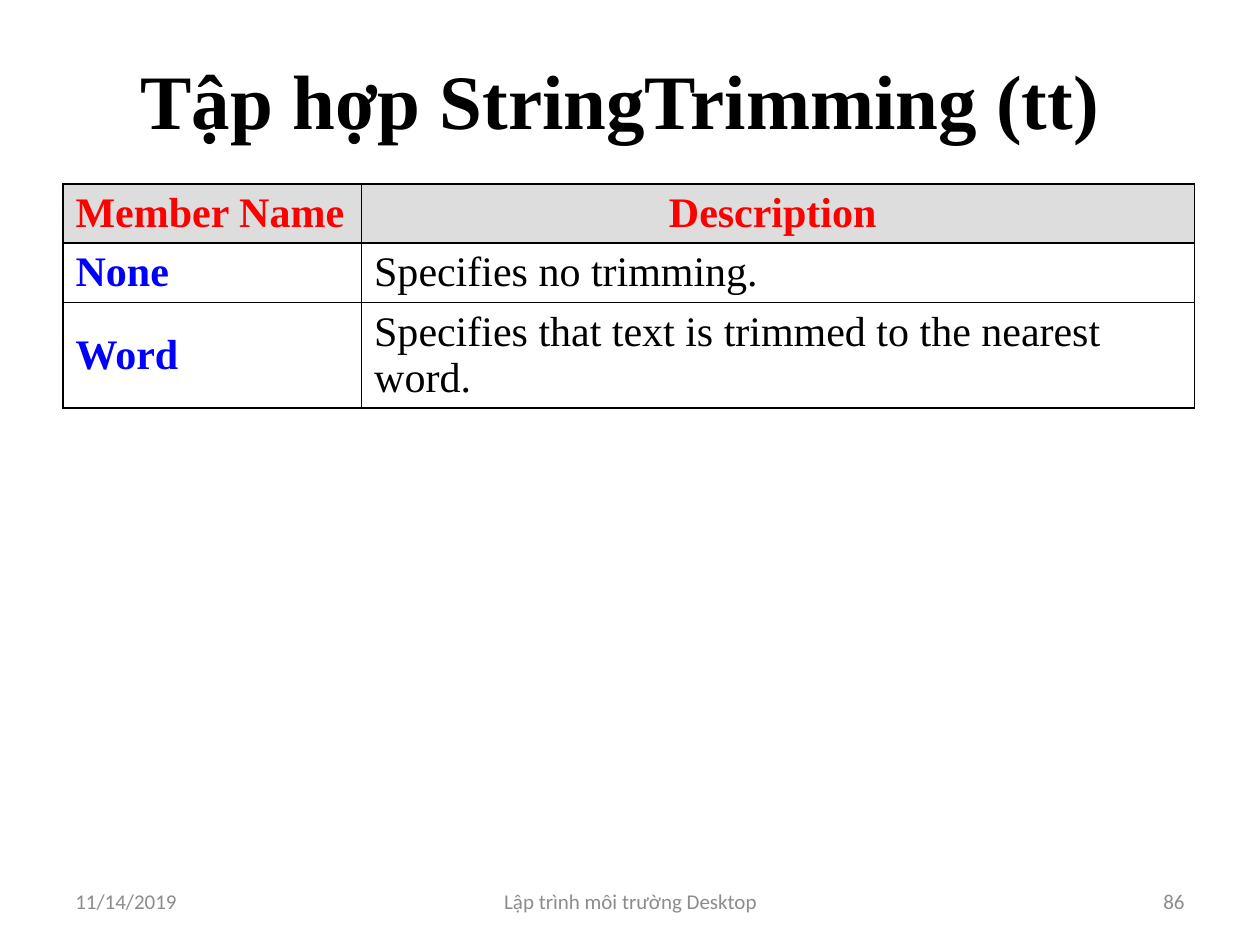
from dataclasses import dataclass

from lxml.etree import SubElement
from pptx import Presentation
from pptx.dml.color import RGBColor
from pptx.enum.text import MSO_ANCHOR as Anchor, MSO_AUTO_SIZE as AutoSize, PP_ALIGN as Align
from pptx.oxml.ns import qn
from pptx.util import Inches, Pt


@dataclass(frozen=True)
class Theme:
    ink: str = "000000"
    header: str = "FF0000"
    member: str = "0000FF"
    header_fill: str = "DDDDDD"
    muted: str = "8C8C8C"
    serif: str = "Times New Roman"
    sans: str = "Calibri"
    title_size: int = 44
    table_size: int = 24
    footer_size: int = 12
    border: float = 1


@dataclass(frozen=True)
class Member:
    name: str
    description: str
    height: float


@dataclass(frozen=True)
class FooterPart:
    text: str
    left: float
    width: float
    align: Align


THEME = Theme()
COLUMN_WIDTHS = (2.37, 6.61)
HEADER_HEIGHT = 0.47
MEMBERS = (
    Member("None", "Specifies no trimming. ", 0.47),
    Member("Word", "Specifies that text is trimmed to the nearest word. ", 0.83),
)
FOOTER = (
    FooterPart("11/14/2019", 0.5, 2.33, Align.LEFT),
    FooterPart("Lập trình môi trường Desktop", 3.42, 3.17, Align.CENTER),
    FooterPart("86", 7.17, 2.33, Align.RIGHT),
)


def write(frame, text: str, *, size: float, color: str, font: str = THEME.serif,
          bold: bool = False, align: Align = Align.LEFT) -> None:
    frame.word_wrap = True
    paragraph = frame.paragraphs[0]
    paragraph.alignment = align
    run = paragraph.add_run()
    run.text = text
    run.font.name = font
    run.font.size = Pt(size)
    run.font.bold = bold
    run.font.color.rgb = RGBColor.from_string(color)


def add_borders(cell) -> None:
    properties = cell._tc.get_or_add_tcPr()
    for side in ("lnL", "lnR", "lnT", "lnB"):
        line = SubElement(properties, qn(f"a:{side}"), w=str(Pt(THEME.border)))
        fill = SubElement(line, qn("a:solidFill"))
        SubElement(fill, qn("a:srgbClr"), val=THEME.ink)


def fill_cell(cell, text: str, color: str, *, bold: bool = True, align: Align = Align.LEFT,
              anchor: Anchor = Anchor.TOP, fill: str | None = None) -> None:
    add_borders(cell)
    cell.vertical_anchor = anchor
    if fill:
        cell.fill.solid()
        cell.fill.fore_color.rgb = RGBColor.from_string(fill)
    else:
        cell.fill.background()
    write(cell.text_frame, text, size=THEME.table_size, color=color, bold=bold, align=align)


def add_title(slide) -> None:
    title = slide.shapes.title
    title.left, title.top, title.width, title.height = map(Inches, (0.5, 0.16, 9, 1.25))
    title.text_frame.auto_size = AutoSize.NONE
    title.text_frame.vertical_anchor = Anchor.MIDDLE
    write(title.text_frame, "Tập hợp StringTrimming (tt) ", size=THEME.title_size,
          color=THEME.ink, bold=True, align=Align.CENTER)


def add_member_table(slide) -> None:
    heights = (HEADER_HEIGHT, *(member.height for member in MEMBERS))
    table = slide.shapes.add_table(
        len(heights), len(COLUMN_WIDTHS), Inches(0.5), Inches(1.46),
        Inches(sum(COLUMN_WIDTHS)), Inches(sum(heights))).table
    table.horz_banding = False
    for column, width in zip(table.columns, COLUMN_WIDTHS):
        column.width = Inches(width)
    for row, height in zip(table.rows, heights):
        row.height = Inches(height)
    fill_cell(table.cell(0, 0), "Member Name", THEME.header, fill=THEME.header_fill)
    fill_cell(table.cell(0, 1), "Description ", THEME.header, align=Align.CENTER,
              fill=THEME.header_fill)
    for index, member in enumerate(MEMBERS, start=1):
        fill_cell(table.cell(index, 0), member.name, THEME.member, anchor=Anchor.MIDDLE)
        fill_cell(table.cell(index, 1), member.description, THEME.ink, bold=False)


def add_footer_part(slide, part: FooterPart) -> None:
    frame = slide.shapes.add_textbox(
        Inches(part.left), Inches(6.95), Inches(part.width), Inches(0.4)).text_frame
    frame.vertical_anchor = Anchor.MIDDLE
    write(frame, part.text, size=THEME.footer_size, color=THEME.muted,
          font=THEME.sans, align=part.align)


def main() -> None:
    """Build the StringTrimming slide and save it."""
    deck = Presentation()
    deck.slide_width, deck.slide_height = Inches(10), Inches(7.5)
    slide = deck.slides.add_slide(deck.slide_layouts[5])
    add_title(slide)
    add_member_table(slide)
    for part in FOOTER:
        add_footer_part(slide, part)
    deck.save("out.pptx")


if __name__ == "__main__":
    main()
